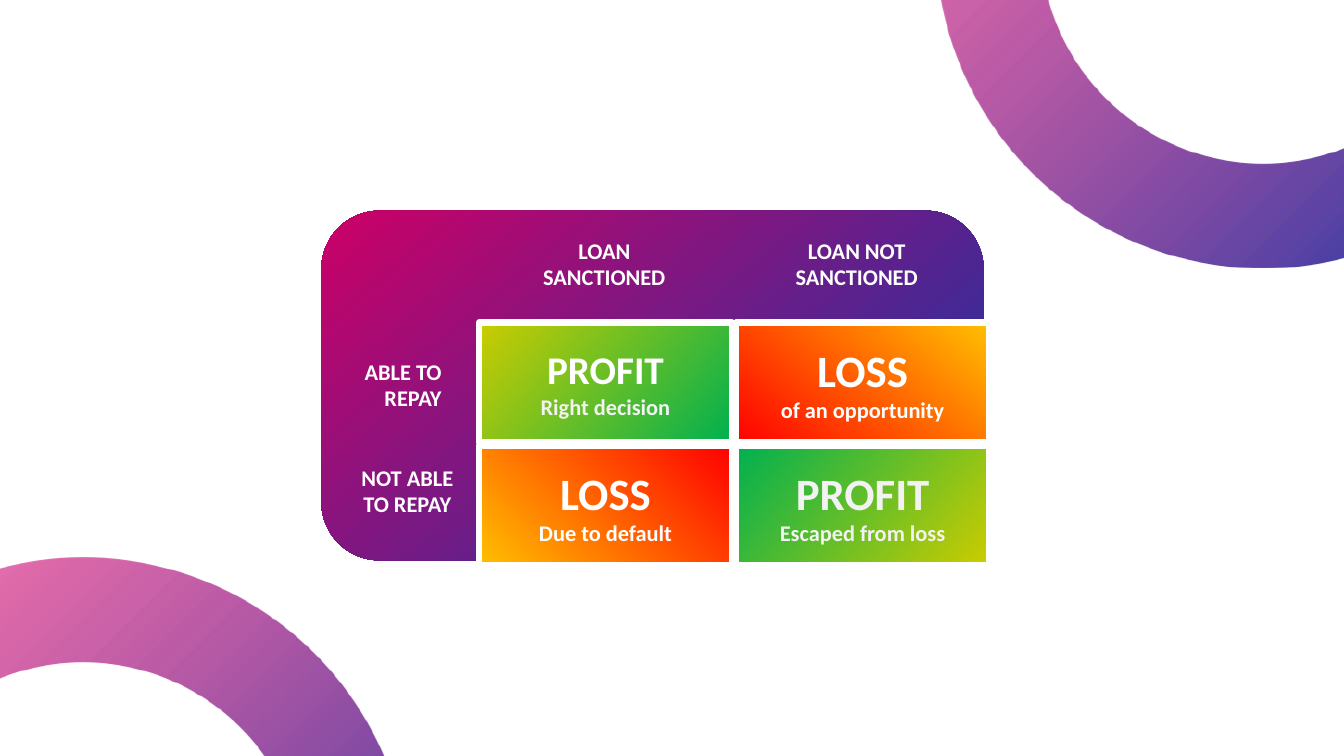
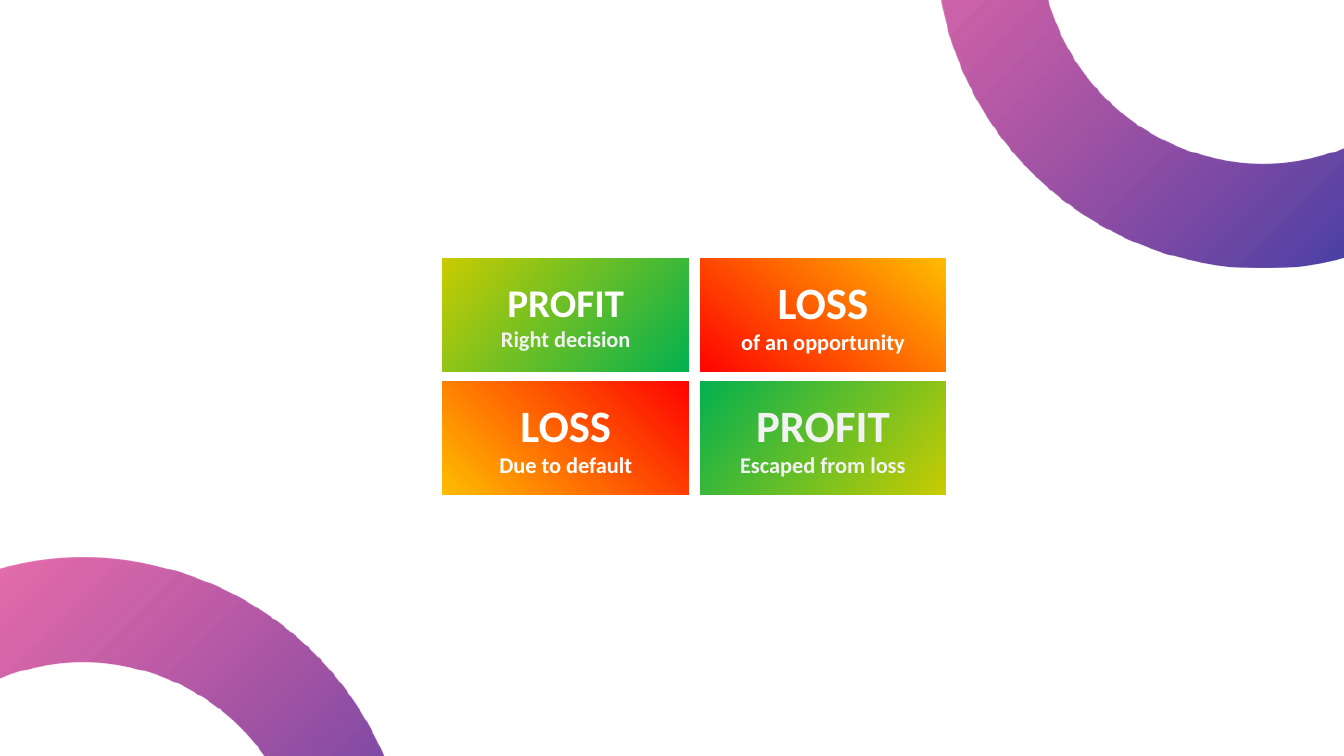
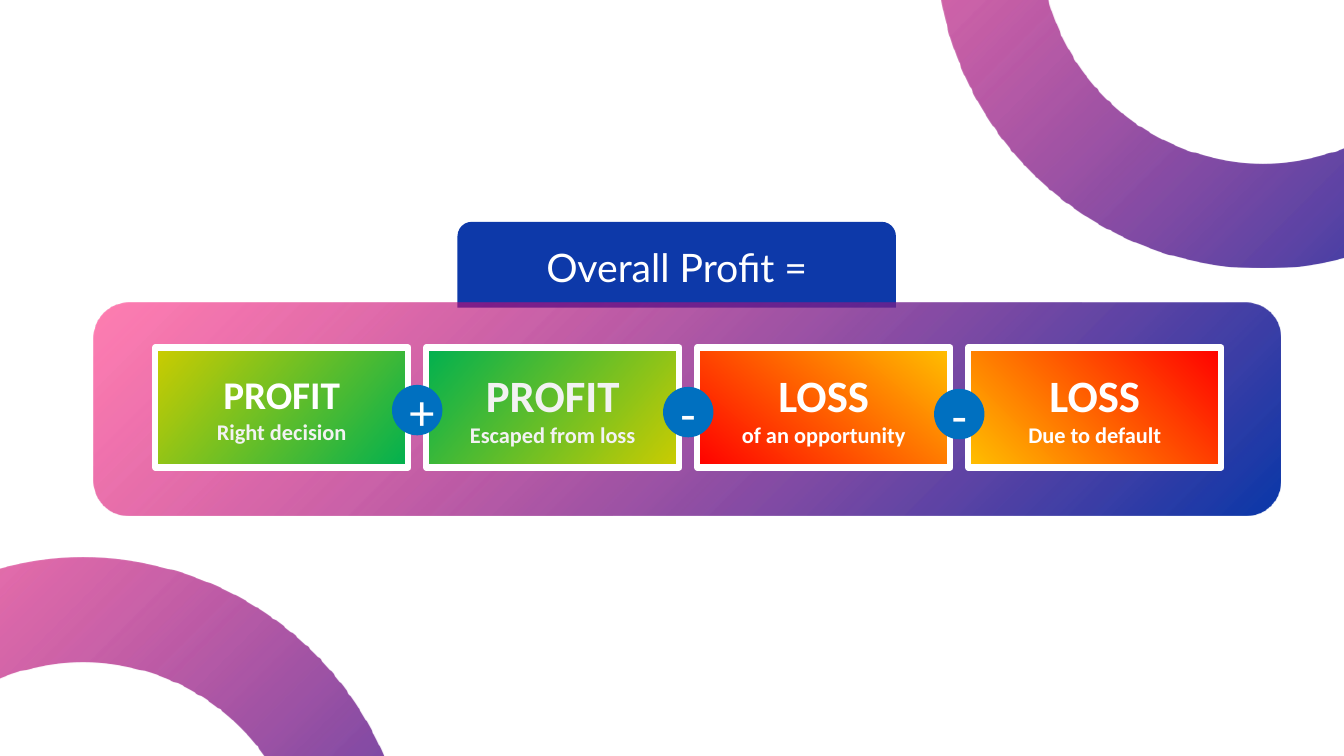
from dataclasses import dataclass

from pptx import Presentation
from pptx.dml.color import RGBColor
from pptx.enum.shapes import MSO_SHAPE
from pptx.enum.text import MSO_ANCHOR, MSO_AUTO_SIZE, PP_ALIGN
from pptx.oxml.ns import qn
from pptx.oxml.xmlchemy import OxmlElement
from pptx.util import Cm, Pt

WHITE = RGBColor(0xFF, 0xFF, 0xFF)
PALE = RGBColor(0xF2, 0xF2, 0xF2)
NAVY = RGBColor(0x0D, 0x39, 0xA9)
BLUE = RGBColor(0x00, 0x70, 0xC0)
MAGENTA = RGBColor(0xCC, 0x00, 0x66)
PINK = RGBColor(0xFF, 0x00, 0x66)
OLIVE = RGBColor(0xCC, 0xCC, 0x00)
GREEN = RGBColor(0x00, 0xB0, 0x50)
AMBER = RGBColor(0xFF, 0xC0, 0x00)
RED = RGBColor(0xFF, 0x00, 0x00)

RECTANGLE = MSO_SHAPE.RECTANGLE
ROUNDED = MSO_SHAPE.ROUNDED_RECTANGLE
TAB = MSO_SHAPE.ROUND_2_SAME_RECTANGLE
DONUT = MSO_SHAPE.DONUT
OVAL = MSO_SHAPE.OVAL
CENTER, RIGHT = PP_ALIGN.CENTER, PP_ALIGN.RIGHT
MIDDLE = MSO_ANCHOR.MIDDLE
GROW = MSO_AUTO_SIZE.SHAPE_TO_FIT_TEXT

BODY_FONT, TITLE_FONT = "Calibri", "Lato"
BLANK_LAYOUT = 6

# All lengths are in centimetres.
SLIDE_WIDTH, SLIDE_HEIGHT = 33.87, 19.05
CARD_WIDTH, CARD_HEIGHT = 6.38, 3.02
GRID_PITCH_X, GRID_PITCH_Y = 6.48, 3.1
RING_SIZE = 16.48
RING_CORNERS = ((23.57, -9.75), (-6.17, 14.05))
SIGN_SIZE = 1.27


@dataclass
class Outcome:
    heading: str
    detail: str
    start: RGBColor
    end: RGBColor
    angle: int
    heading_size: int = 32
    heading_color: RGBColor = WHITE
    detail_color: RGBColor = WHITE


RIGHT_DECISION = Outcome("PROFIT", "Right decision", OLIVE, GREEN, 40,
                         heading_size=28, detail_color=PALE)
ESCAPED_LOSS = Outcome("PROFIT", "Escaped from loss", OLIVE, GREEN, 220,
                       heading_color=PALE, detail_color=PALE)
LOST_OPPORTUNITY = Outcome("LOSS", "of an opportunity", AMBER, RED, 130)
DEFAULT_LOSS = Outcome("LOSS", "Due to default", AMBER, RED, 315)

OUTCOME_GRID = ((RIGHT_DECISION, LOST_OPPORTUNITY),
                (DEFAULT_LOSS, ESCAPED_LOSS))


def add_plain_shape(slide, kind, left, top, width, height):
    """Add a shape without shadow or outline."""
    shape = slide.shapes.add_shape(kind, Cm(left), Cm(top), Cm(width), Cm(height))
    shape.shadow.inherit = False
    shape.line.fill.background()
    return shape


def fill_solid(shape, color):
    shape.fill.solid()
    shape.fill.fore_color.rgb = color


def fill_gradient(shape, start, end, angle, end_position=1.0):
    """Fill from start to end, with the angle measured clockwise."""
    shape.fill.gradient()
    shape.fill.gradient_angle = 360 - angle
    stops = shape.fill.gradient_stops
    for stop, color, position in zip(stops, (start, end), (0, end_position)):
        stop.color.rgb = color
        stop.position = position


def fill_pink_to_navy(shape):
    """Apply the shared gradient, whose pink end is half transparent."""
    fill_gradient(shape, PINK, NAVY, 45, end_position=0.99)
    first_color = shape.element.spPr.find(".//" + qn("a:srgbClr"))
    alpha = OxmlElement("a:alpha")
    alpha.set("val", "50000")
    first_color.append(alpha)


def format_paragraph(paragraph, text, size, color=WHITE, bold=False,
                     font=BODY_FONT, align=CENTER):
    paragraph.text = text
    paragraph.alignment = align
    paragraph.font.name = font
    paragraph.font.size = Pt(size)
    paragraph.font.bold = bold
    paragraph.font.color.rgb = color


def add_label(slide, text, left, top, width, align=CENTER):
    box = slide.shapes.add_textbox(Cm(left), Cm(top), Cm(width), Cm(1.63))
    frame = box.text_frame
    frame.word_wrap = True
    frame.auto_size = GROW
    format_paragraph(frame.paragraphs[0], text, 16, bold=True, align=align)


def add_card(slide, outcome, left, top):
    card = add_plain_shape(slide, RECTANGLE, left, top, CARD_WIDTH, CARD_HEIGHT)
    fill_gradient(card, outcome.start, outcome.end, outcome.angle)
    card.line.color.rgb = WHITE
    card.line.width = Pt(4.5)
    frame = card.text_frame
    frame.vertical_anchor = MIDDLE
    format_paragraph(frame.paragraphs[0], outcome.heading, outcome.heading_size,
                     outcome.heading_color, bold=True)
    format_paragraph(frame.add_paragraph(), outcome.detail, 16,
                     outcome.detail_color, bold=True)


def add_card_grid(slide, left, top):
    for row, outcomes in enumerate(OUTCOME_GRID):
        for column, outcome in enumerate(outcomes):
            add_card(slide, outcome, left + column * GRID_PITCH_X,
                     top + row * GRID_PITCH_Y)


def add_sign(slide, text, center_x, top):
    sign = add_plain_shape(slide, OVAL, center_x - SIGN_SIZE / 2, top,
                           SIGN_SIZE, SIGN_SIZE)
    fill_solid(sign, BLUE)
    sign.text_frame.vertical_anchor = MIDDLE
    format_paragraph(sign.text_frame.paragraphs[0], text, 36)


def add_rings(slide):
    for left, top in RING_CORNERS:
        ring = add_plain_shape(slide, DONUT, left, top, RING_SIZE, RING_SIZE)
        ring.adjustments[0] = 0.16
        fill_pink_to_navy(ring)


def build_decision_matrix(slide):
    panel = add_plain_shape(slide, ROUNDED, 8.1, 5.31, 16.69, 8.81)
    fill_gradient(panel, NAVY, MAGENTA, 230)
    add_label(slide, "ABLE TO REPAY", 8.64, 8.89, 2.74, RIGHT)
    add_label(slide, "NOT ABLE TO REPAY", 8.59, 11.56, 3.35)
    add_label(slide, "LOAN SANCTIONED", 13.39, 5.84, 3.68)
    add_label(slide, "LOAN NOT SANCTIONED", 19.61, 5.84, 3.96)
    add_card_grid(slide, 12.07, 8.13)


def build_outcomes(slide):
    add_card_grid(slide, 11.07, 6.43)


def build_profit_formula(slide):
    tab = add_plain_shape(slide, TAB, 11.53, 5.59, 11.05, 2.16)
    fill_solid(tab, NAVY)
    tab.text_frame.vertical_anchor = MIDDLE
    format_paragraph(tab.text_frame.paragraphs[0], "Overall Profit =", 28,
                     font=TITLE_FONT)
    panel = add_plain_shape(slide, ROUNDED, 2.36, 7.62, 29.92, 5.38)
    fill_pink_to_navy(panel)

    first_left, pitch = 3.91, 6.83
    terms = (RIGHT_DECISION, ESCAPED_LOSS, LOST_OPPORTUNITY, DEFAULT_LOSS)
    for index, outcome in enumerate(terms):
        add_card(slide, outcome, first_left + index * pitch, 8.76)
    first_gap_center = first_left + (CARD_WIDTH + pitch) / 2
    for index, text in enumerate("+--"):
        add_sign(slide, text, first_gap_center + index * pitch, 9.7 + index * 0.05)


def main():
    presentation = Presentation()
    presentation.slide_width = Cm(SLIDE_WIDTH)
    presentation.slide_height = Cm(SLIDE_HEIGHT)
    layout = presentation.slide_layouts[BLANK_LAYOUT]
    for build in (build_decision_matrix, build_outcomes, build_profit_formula):
        slide = presentation.slides.add_slide(layout)
        build(slide)
        add_rings(slide)
    presentation.save("out.pptx")


if __name__ == "__main__":
    main()
